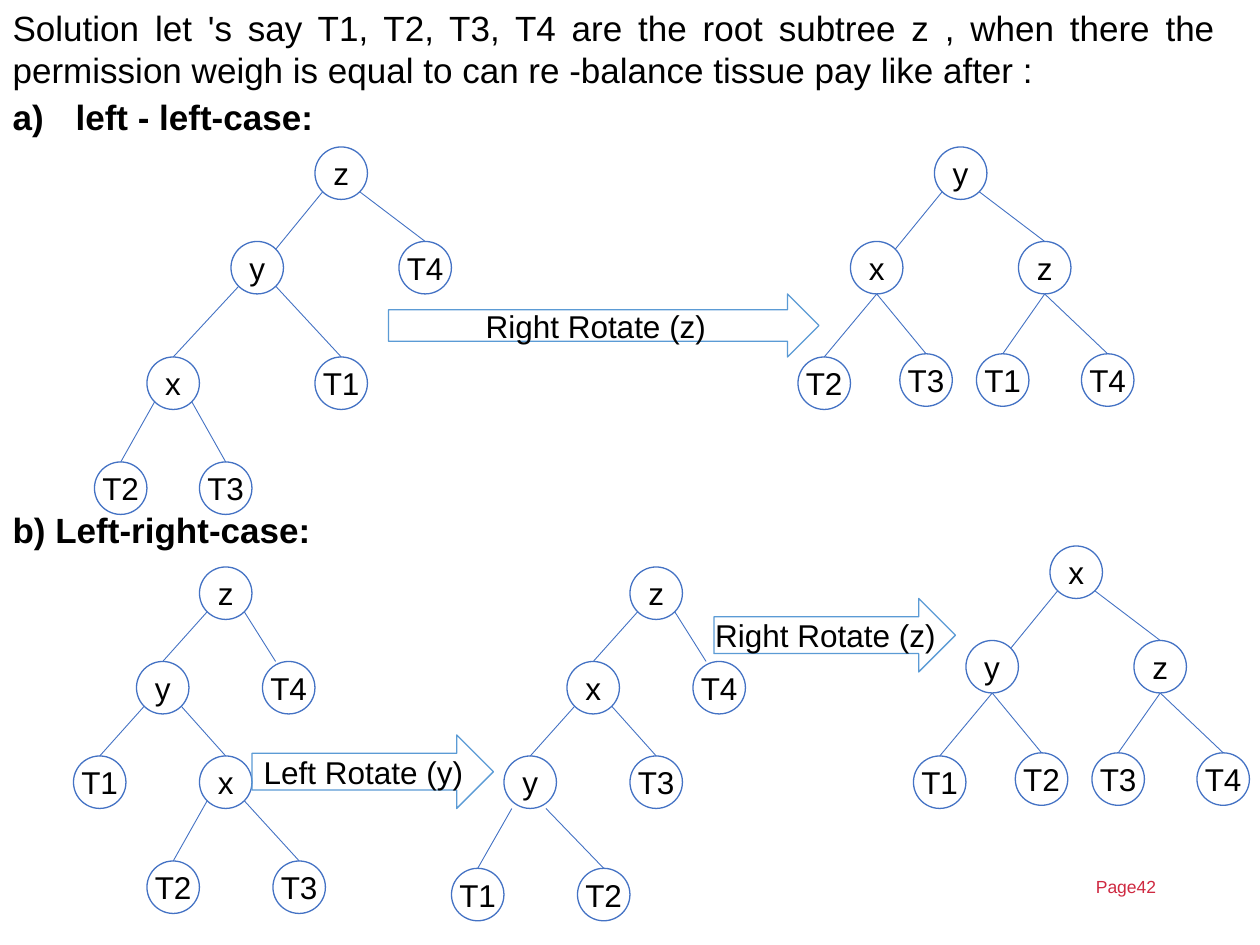
from lxml import etree
from pptx import Presentation
from pptx import util as u
from pptx.dml.color import RGBColor
from pptx.enum import shapes, text
from pptx.oxml.ns import qn

COLS, ROWS = 120, 90
NODE = 5
INK, BLUE, SKY, RED = "000000", "4472C4", "5B9BD5", "CF2941"

# Points on a node where links join, in grid units from its top left corner
SPOTS = {
    "left": (0.73, 4.27), "right": (4.27, 4.27), "base": (2.5, 5),
    "low left": (0.75, 5), "low right": (4, 5),
    "top": (2.5, 0), "side": (4.27, 0.73), "near": (1.25, 0),
}

# Each form lists, per node: column and row from the root, parent, link start, link end
CHAIN = [
    (0, 0, None, "", ""),
    (-8, 9, 0, "left", "side"), (8, 9, 0, "right", "top"),
    (-16, 20, 1, "left", "top"), (0, 20, 1, "right", "top"),
    (-21, 30, 3, "left", "top"), (-11, 30, 3, "right", "top"),
]
EVEN = [
    (0, 0, None, "", ""),
    (-8, 9, 0, "left", "side"), (8, 9, 0, "right", "top"),
    (-13, 20, 1, "base", "top"), (-3.3, 19.7, 1, "base", "top"),
    (4, 19.7, 2, "base", "top"), (14, 19.7, 2, "base", "top"),
]
UPPER = [
    (0, 0, None, "", ""),
    (-6, 9, 0, "left", "top"), (6, 9, 0, "right", "near"),
    (-12, 18, 1, "left", "top"), (0, 18, 1, "right", "top"),
]
BENT = UPPER + [(-5, 28, 4, "left", "top"), (7, 28, 4, "right", "top")]
LEAN = UPPER + [(-17, 28.7, 3, "low left", "top"), (-5, 28.7, 3, "low right", "top")]


def tint(code):
    return RGBColor.from_string(code)


class Board:
    def __init__(self, deck, font="Arial"):
        self.font = font
        self.page = deck.slides.add_slide(deck.slide_layouts[1])
        self.col = deck.slide_width / COLS
        self.row = deck.slide_height / ROWS

    def at(self, col, row):
        return u.Emu(round(col * self.col)), u.Emu(round(row * self.row))

    def say(self, para, words, size, ink=INK, bold=False):
        run = para.add_run()
        run.text = words
        run.font.name, run.font.size = self.font, u.Pt(size)
        run.font.bold, run.font.color.rgb = bold, tint(ink)

    def fill(self, hold, box, items):
        """Move a placeholder to box and add (words, bold, hang, number) items."""
        hold.left, hold.top = self.at(*box[:2])
        hold.width, hold.height = self.at(*box[2:])
        frame = hold.text_frame
        frame.word_wrap = True
        frame.auto_size = text.MSO_AUTO_SIZE.NONE
        frame.vertical_anchor = text.MSO_ANCHOR.TOP
        for i, (words, bold, hang, number) in enumerate(items):
            para = frame.add_paragraph() if i else frame.paragraphs[0]
            para.alignment = text.PP_ALIGN.JUSTIFY
            para.space_before = u.Pt(3)
            prop = para._p.get_or_add_pPr()
            prop.set("marL", str(u.Inches(hang)))
            prop.set("indent", str(-u.Inches(hang)))
            if number:
                mark = etree.SubElement(prop, qn("a:buAutoNum"))
                mark.set("type", number)
            else:
                etree.SubElement(prop, qn("a:buNone"))
            self.say(para, words, 20, bold=bold)

    def label(self, words, col, row, wide, high):
        box = self.page.shapes.add_textbox(*self.at(col, row), *self.at(wide, high))
        box.text_frame.word_wrap = True
        self.say(box.text_frame.paragraphs[0], words, 10, RED)

    def shape(self, kind, words, col, row, wide, high, edge):
        item = self.page.shapes.add_shape(kind, *self.at(col, row), *self.at(wide, high))
        item.shadow.inherit = False
        item.fill.background()
        item.line.color.rgb, item.line.width = tint(edge), u.Pt(0.75)
        frame = item.text_frame
        frame.word_wrap = False
        frame.vertical_anchor = text.MSO_ANCHOR.MIDDLE
        para = frame.paragraphs[0]
        para.alignment = text.PP_ALIGN.CENTER
        self.say(para, words, 18)
        return item

    def arrow(self, words, *box):
        self.shape(shapes.MSO_SHAPE.RIGHT_ARROW, words, *box, SKY)

    def link(self, start, end, child=None):
        """Draw a line, joined to the top of child when one is given."""
        line = self.page.shapes.add_connector(
            shapes.MSO_CONNECTOR.STRAIGHT, *self.at(*start), *self.at(*end))
        if child is not None:
            line.end_connect(child, 0)
        line.line.color.rgb, line.line.width = tint(BLUE), u.Pt(0.5)
        etree.SubElement(line._element.spPr, qn("a:effectLst"))

    def tree(self, col, row, form, names):
        spots = [(col + x, row + y) for x, y, *_ in form]
        for name, spot, (_, _, up, start, end) in zip(names.split(), spots, form):
            node = self.shape(shapes.MSO_SHAPE.OVAL, name, *spot, NODE, NODE, BLUE)
            if up is not None:
                ends = [[a + b for a, b in zip(base, SPOTS[key])]
                        for base, key in ((spots[up], start), (spot, end))]
                self.link(*ends, node if end == "top" else None)


def main():
    deck = Presentation()
    deck.slide_width, deck.slide_height = u.Inches(10), u.Inches(7.5)
    board = Board(deck)
    title, body = board.page.placeholders
    board.fill(body, (0, 0, 117, 13.9), [
        ("Solution let 's say T1, T2, T3, T4 are the root subtree z , when there the "
         "permission weigh is equal to can re -balance tissue pay like after :",
         False, 0, None),
        ("left - left-case:", True, 0.5, "alphaLcParenR"),
    ])
    board.fill(title, (0, 47.8, 117, 5.3), [("b) Left-right-case:", True, 0.5, None)])

    board.tree(30, 14, CHAIN, "z y T4 x T1 T2 T3")
    board.tree(89, 14, EVEN, "y x z T2 T3 T1 T4")
    board.arrow("Right Rotate (z)", 37, 28, 41, 6)

    board.tree(19, 54, BENT, "z y T4 T1 x T2 T3")
    board.tree(60, 54, LEAN, "z x T4 y T3 T1 T2")
    board.tree(100, 52, EVEN, "x y z T1 T2 T3 T4")
    board.arrow("Left Rotate (y)", 24, 70, 23, 7)
    board.arrow("Right Rotate (z)", 68, 57, 23, 7)
    board.label("Page42", 103.2, 82.8, 14.4, 3.4)
    deck.save("out.pptx")


if __name__ == "__main__":
    main()
